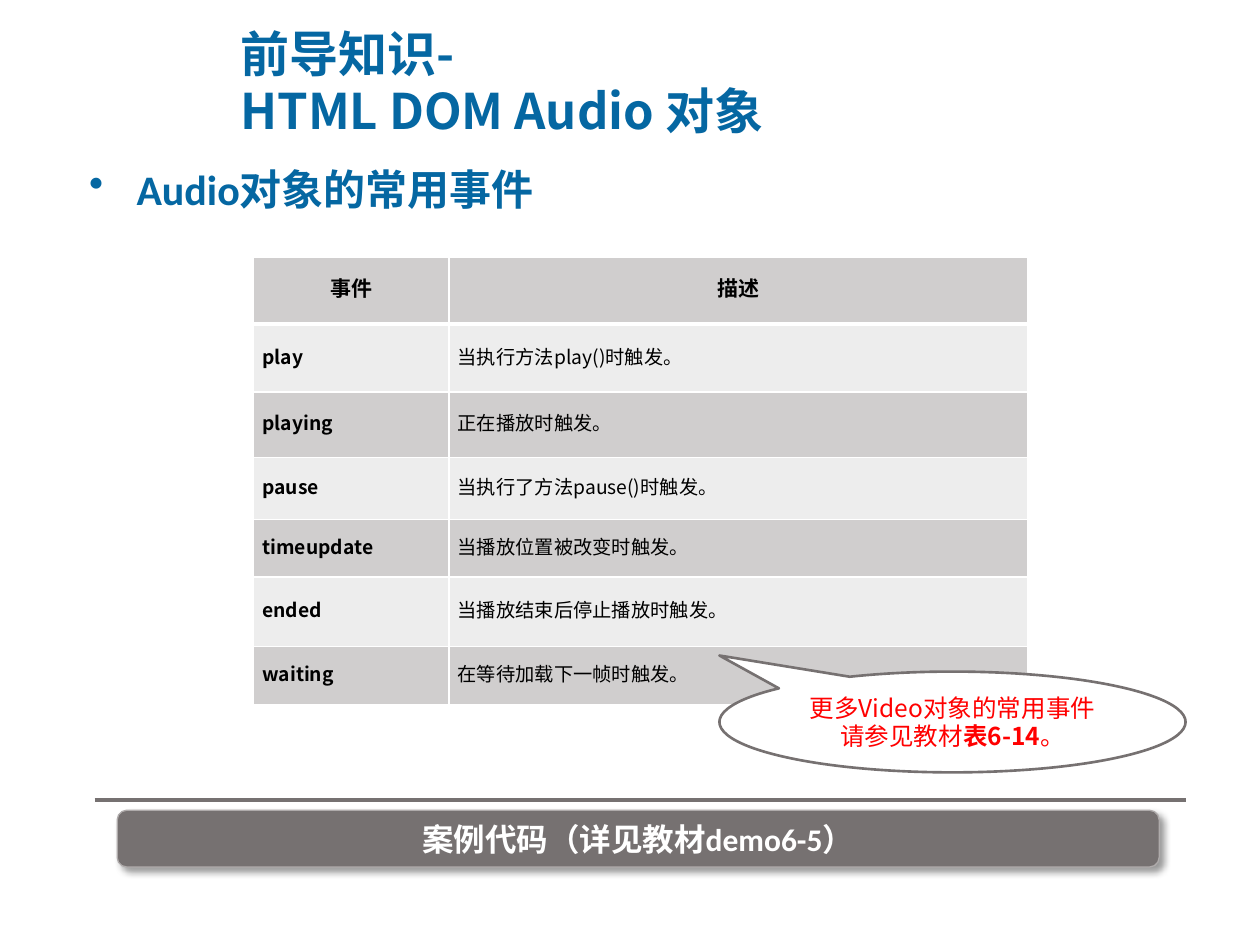
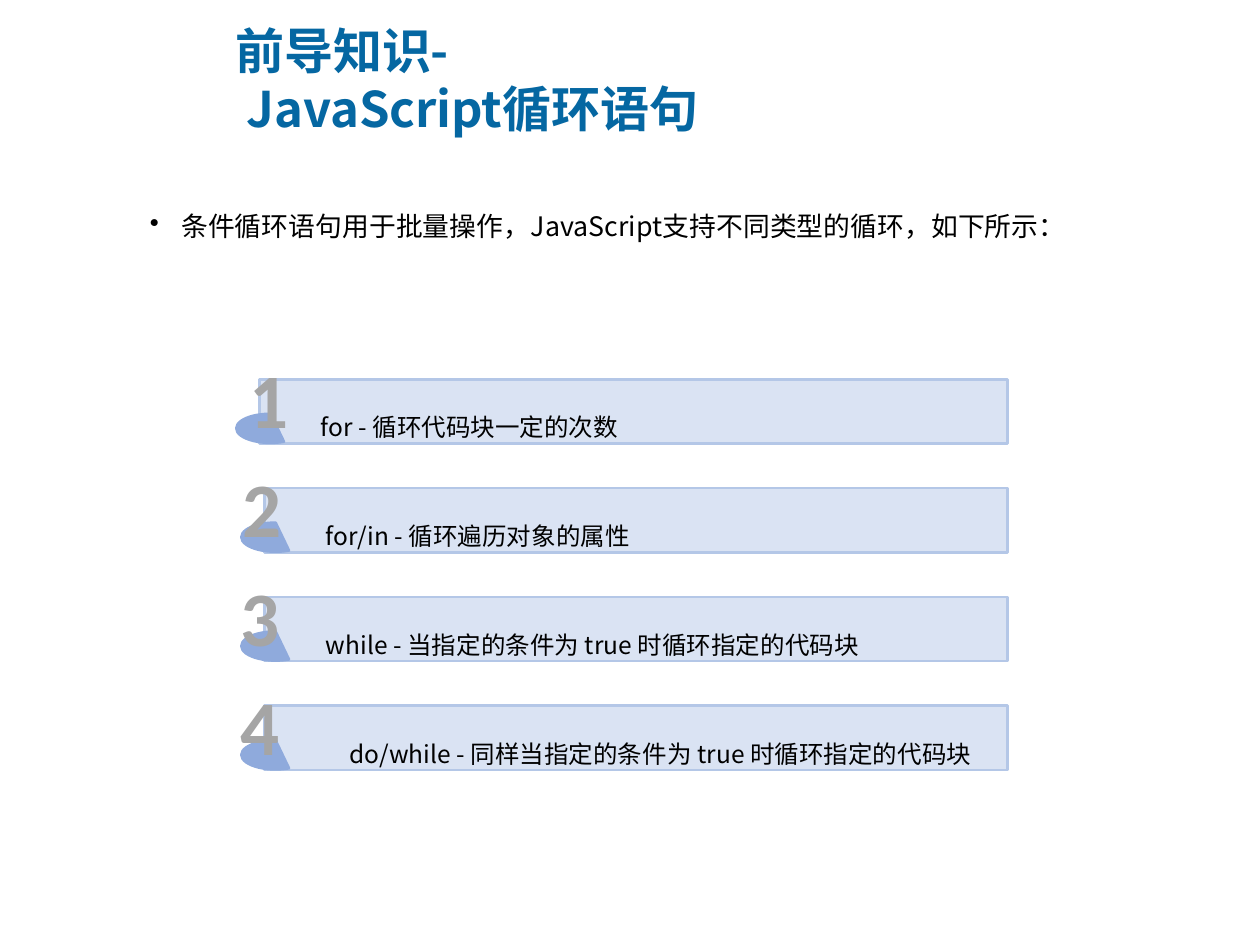
"""Build two lesson slides: audio events and loop statements."""
from dataclasses import dataclass, replace
from typing import Any, NamedTuple

from lxml.etree import SubElement
from pptx import Presentation
from pptx.dml.color import RGBColor
from pptx.enum.shapes import MSO_CONNECTOR as Link, MSO_SHAPE as Form
from pptx.enum.text import MSO_ANCHOR as Anchor, PP_ALIGN as Align
from pptx.oxml.ns import qn
from pptx.util import Pt

HUES = {
    "title": "0567A2", "ink": "000000", "white": "FFFFFF", "alert": "FF0000",
    "gray": "767171", "edge": "AFABAB", "dark": "D0CECE", "light": "EDEDED",
    "pale": "DAE3F3", "rim": "B4C7E7", "chord": "8FAADC", "digit": "A5A5A5",
}
SANS, CAL = "Noto Sans CJK SC", "Calibri"


class Box(NamedTuple):
    left: float
    top: float
    width: float
    height: float

    def pts(self) -> list[int]:
        return [Pt(n) for n in self]


@dataclass(frozen=True)
class Look:
    size: float
    hue: str = "ink"
    face: str = SANS
    bold: bool = False
    align: Any = Align.LEFT
    pitch: float = 1.18
    left: float = 0
    hang: float = 0
    mark: str = ""


class Run(NamedTuple):
    text: str
    bold: bool


class Step(NamedTuple):
    text: str
    left: float
    shift: float
    align: Any = Align.LEFT


TITLE = Look(28, "title", bold=True, left=44.6, hang=44.6)
POINT = Look(24, "title", CAL, True, pitch=1.83, left=27, hang=27, mark="•")
BODY = Look(15.3, pitch=1.65, left=54, hang=18, mark="•")
BAR = Look(18, "white", CAL, True, Align.CENTER, 1.22)
NOTE = Look(14, "alert", align=Align.CENTER)
HEAD = Look(12, bold=True, align=Align.CENTER)
CELL = Look(11, align=Align.JUSTIFY)
DIGIT = Look(44, "digit", CAL, True, Align.CENTER, 1.22)
STEP = Look(14, left=28)

EVENTS = [
    ("事件", "描述"),
    ("play", "当执行方法play()时触发。"),
    ("playing", "正在播放时触发。"),
    ("pause", "当执行了方法pause()时触发。"),
    ("timeupdate", "当播放位置被改变时触发。"),
    ("ended", "当播放结束后停止播放时触发。"),
    ("waiting", "在等待加载下一帧时触发。"),
]
COLS = [111.6, 330.5]
ROWS = [38.2, 38.9, 37.4, 35.3, 33.1, 39.6, 33.1]
STEPS = [
    Step("for - 循环代码块一定的次数", 148.3, 17),
    Step("for/in - 循环遍历对象的属性", 151.2, 24),
    Step("while - 当指定的条件为 true 时循环指定的代码块", 151.2, 25),
    Step("do/while - 同样当指定的条件为 true 时循环指定的代码块", 151.2, 25, Align.CENTER),
]
STEP_TOP, STEP_GAP, STEP_END = 216.7, 62.2, 575.6


def rgb(hue: str) -> RGBColor:
    return RGBColor.from_string(HUES[hue])


def put(item: Any, vals: dict[str, Any]) -> None:
    for key, val in vals.items():
        setattr(item, key, val)


def tint(node: Any, hue: str) -> Any:
    fill = SubElement(node, qn("a:solidFill"))
    return SubElement(fill, qn("a:srgbClr"), val=HUES[hue])


def write(frame: Any, paras: list[list[Run]], look: Look) -> None:
    for num, runs in enumerate(paras):
        para = frame.add_paragraph() if num else frame.paragraphs[0]
        put(para, {"alignment": look.align,
                   "line_spacing": Pt(round(look.size * look.pitch, 1))})
        props = para._p.get_or_add_pPr()
        props.set("marL", str(Pt(look.left)))
        props.set("indent", str(-Pt(look.hang)))
        if look.mark:
            SubElement(props, qn("a:buChar"), char=look.mark)
        for text, bold in runs:
            run = para.add_run()
            run.text = text
            put(run.font, {"size": Pt(look.size), "bold": bold, "name": look.face})
            run.font.color.rgb = rgb(look.hue)
            SubElement(run._r.get_or_add_rPr(), qn("a:ea"), typeface=look.face)


def label(shapes: Any, box: Box, look: Look, *lines: str, anchor: Any = Anchor.TOP) -> None:
    frame = shapes.add_textbox(*box.pts()).text_frame
    put(frame, {"word_wrap": True, "vertical_anchor": anchor})
    write(frame, [[Run(line, look.bold)] for line in lines], look)


def block(shapes: Any, form: Any, box: Box, fill: str, rim: str, weight: float) -> Any:
    shape = shapes.add_shape(form, *box.pts())
    shape.shadow.inherit = False
    shape.fill.solid()
    shape.fill.fore_color.rgb = rgb(fill)
    shape.line.color.rgb = rgb(rim)
    shape.line.width = Pt(weight)
    put(shape.text_frame, {"word_wrap": True, "vertical_anchor": Anchor.MIDDLE})
    return shape


def title(slide: Any, box: Box, *lines: str) -> None:
    label(slide.shapes, box, TITLE, *lines, anchor=Anchor.MIDDLE)


def shade(shape: Any) -> None:
    holder = shape._element.spPr.find(qn("a:effectLst"))
    cast = SubElement(holder, qn("a:outerShdw"), blurRad=str(Pt(4)),
                      dist=str(Pt(3)), dir="2700000", algn="tl", rotWithShape="0")
    color = SubElement(cast, qn("a:srgbClr"), val=HUES["ink"])
    SubElement(color, qn("a:alpha"), val="40000")


def frame_cell(cell: Any, fill: str, base: float) -> None:
    props = cell._tc.get_or_add_tcPr()
    for side, weight in {"L": 1, "R": 1, "T": 1, "B": base}.items():
        tint(SubElement(props, qn(f"a:ln{side}"), w=str(Pt(weight))), "white")
    cell.fill.solid()
    cell.fill.fore_color.rgb = rgb(fill)
    put(cell, {"margin_left": Pt(5), "margin_right": Pt(5), "margin_top": 0,
               "margin_bottom": 0, "vertical_anchor": Anchor.MIDDLE})


def event_grid(slide: Any, left: float, top: float) -> None:
    box = Box(left, top, sum(COLS), sum(ROWS))
    grid = slide.shapes.add_table(len(ROWS), len(COLS), *box.pts()).table
    for col, width in zip(grid.columns, COLS):
        col.width = Pt(width)
    for row, (line, height) in enumerate(zip(grid.rows, ROWS)):
        line.height = Pt(height)
        for col, text in enumerate(EVENTS[row]):
            cell = grid.cell(row, col)
            frame_cell(cell, "light" if row % 2 else "dark", 1 if row else 3)
            look = replace(CELL, bold=col == 0) if row else HEAD
            write(cell.text_frame, [[Run(text, look.bold)]], look)


def audio(slide: Any) -> None:
    shapes = slide.shapes
    label(shapes, Box(43.9, 74.9, 272.2, 46), POINT, "Audio对象的常用事件")
    bar = block(shapes, Form.ROUNDED_RECTANGLE, Box(67, 463, 595.4, 32.4),
                "gray", "edge", 0.75)
    shade(bar)
    write(bar.text_frame, [[Run("案例代码（详见教材demo6-5）", True)]], BAR)
    rule = shapes.add_connector(Link.STRAIGHT, Pt(54), Pt(457.2), Pt(677.5), Pt(457.2))
    rule.line.color.rgb = rgb("gray")
    rule.line.width = Pt(2.25)
    SubElement(rule._element.spPr, qn("a:effectLst"))
    event_grid(slide, 144.9, 147)
    note = block(shapes, Form.OVAL_CALLOUT, Box(411.1, 383.8, 266.4, 57.6),
                 "white", "gray", 1.5)
    note.adjustments[0], note.adjustments[1] = -0.5, -0.66
    write(note.text_frame, [[Run("更多Video对象的常用事件请参见教材", False),
                             Run("表6-14", True), Run("。", False)]], NOTE)
    title(slide, Box(130.3, 16.6, 592.6, 60.5), "前导知识-", "HTML DOM Audio 对象")


def step_row(slide: Any, num: int, step: Step) -> None:
    top = STEP_TOP + num * STEP_GAP
    parts = slide.shapes.add_group_shape().shapes
    panel = block(parts, Form.RECTANGLE, Box(step.left, top, STEP_END - step.left, 36.7),
                  "pale", "rim", 1.5)
    put(panel.text_frame, {"vertical_anchor": Anchor.BOTTOM, "margin_bottom": Pt(1)})
    write(panel.text_frame, [[Run(step.text, False)]], replace(STEP, align=step.align))
    block(parts, Form.CHORD, Box(step.left - 13.3, top + 19.8, 39.2, 16.6),
          "chord", "chord", 1.5)
    label(parts, Box(step.left - step.shift, top - 20.2, 44.6, 60.5), DIGIT, str(num + 1))


def loops(slide: Any) -> None:
    label(slide.shapes, Box(42.5, 109.4, 583.9, 36), BODY,
          "条件循环语句用于批量操作，JavaScript支持不同类型的循环，如下所示：")
    for num, step in enumerate(STEPS):
        step_row(slide, num, step)
    title(slide, Box(127.4, 15.1, 595.4, 60.5), "前导知识-", " JavaScript循环语句")


def main() -> None:
    deck = Presentation()
    put(deck, {"slide_width": Pt(720), "slide_height": Pt(540)})
    for draw in (audio, loops):
        draw(deck.slides.add_slide(deck.slide_layouts[6]))
    deck.save("out.pptx")


if __name__ == "__main__":
    main()
